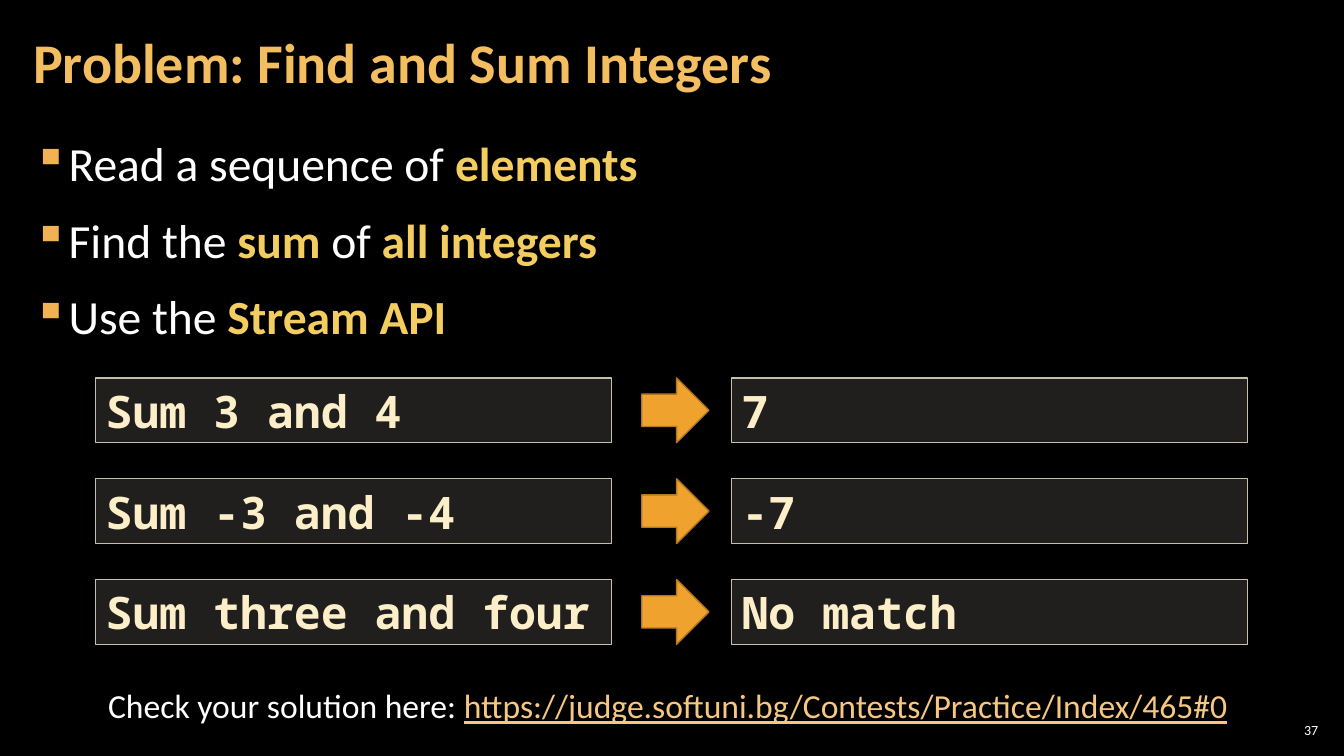
from pptx import Presentation
from pptx.dml.color import RGBColor as Rgb
from pptx.enum.shapes import MSO_SHAPE as Kind
from pptx.enum.text import MSO_ANCHOR as Anchor, PP_ALIGN as Align
from pptx.oxml.ns import qn
from pptx.util import Inches, Pt
from lxml.etree import SubElement as Sub

HUES = {
    "back": "000000", "text": "FFFFFF", "title": "F3BE60", "bold": "F3CD60",
    "mark": "F2B254", "link": "F6C781", "code": "FBEEC9", "box": "D9D5C7",
    "edge": "C7BFAC", "arrow": "F0A22E", "rim": "B27822",
}
HUE = {name: Rgb.from_string(code) for name, code in HUES.items()}

deck = Presentation()
deck.slide_width, deck.slide_height = Inches(13.33), Inches(7.5)
slide = deck.slides.add_slide(deck.slide_layouts[6])
slide.background.fill.solid()
slide.background.fill.fore_color.rgb = HUE["back"]
shapes = slide.shapes

# The slide is a grid of 160 columns by 90 rows
COL, ROW = deck.slide_width / 160, deck.slide_height / 90


def place(col, row, wide, high, kind=None):
    """Add a text box, or a preset shape, on the grid."""
    spot = [round(n) for n in (col * COL, row * ROW, wide * COL, high * ROW)]
    item = shapes.add_shape(kind, *spot) if kind else shapes.add_textbox(*spot)
    item.text_frame.word_wrap = True
    return item


def write(para, parts, size, face="Calibri"):
    """Fill a paragraph with runs given as (text, hue, bold)."""
    for text, hue, bold in parts:
        run = para.add_run()
        run.text = text
        font = run.font
        font.name, font.size, font.bold = face, Pt(size), bold
        font.color.rgb = HUE[hue]
        font.underline = hue == "link"


# Title
frame = place(2.5, 0.5, 125.6, 14.5).text_frame
frame.vertical_anchor = Anchor.MIDDLE
frame.margin_left = frame.margin_right = Inches(0.12)
frame.paragraphs[0].line_spacing = 0.9
write(frame.paragraphs[0], [("Problem: Find and Sum Integers", "title", True)], 40)

# Bullets: every second part is bold
points = [
    ["Read a sequence of ", "elements"],
    ["Find the ", "sum ", "of ", "all integers"],
    ["Use the ", "Stream API"],
]
frame = place(2.5, 15.1, 155, 73.1).text_frame
frame.margin_left = frame.margin_right = Inches(0.12)
frame.margin_top = frame.margin_bottom = Inches(0.04)
for i, point in enumerate(points):
    para = frame.add_paragraph() if i else frame.paragraphs[0]
    para.line_spacing = 1.05
    para.space_before, para.space_after = Pt(6 if i else 0), Pt(6)
    props = para._p.get_or_add_pPr()
    props.set("marL", str(Inches(0.33)))
    props.set("indent", str(-Inches(0.33)))
    Sub(Sub(props, qn("a:buClr")), qn("a:srgbClr"), val=HUES["mark"])
    Sub(props, qn("a:buChar"), char="▪")
    write(para, [(text, "bold" if n % 2 else "text", n % 2 == 1)
                 for n, text in enumerate(point)], 34)

# Input, arrow and output in each row
cases = [("Sum 3 and 4", "7"), ("Sum -3 and -4", "-7"),
         ("Sum three and four", "No match")]
for i, case in enumerate(cases):
    row = 45 + 12 * i
    for col, text in zip((11.4, 87.1), case):
        box = place(col, row, 61.4, 7.7, Kind.RECTANGLE)
        box.shadow.inherit = False
        box.fill.solid()
        box.fill.fore_color.rgb = HUE["box"]
        tint = box.fill._xPr.find(".//" + qn("a:srgbClr"))
        Sub(tint, qn("a:alpha"), val="15000")
        box.line.color.rgb, box.line.width = HUE["edge"], Pt(1)
        frame = box.text_frame
        frame.vertical_anchor = Anchor.MIDDLE
        frame.paragraphs[0].alignment = Align.LEFT
        write(frame.paragraphs[0], [(text, "code", True)], 32, "Noto Sans Mono")
    arrow = place(76.4, row, 8, 7.7, Kind.RIGHT_ARROW)
    arrow.shadow.inherit = False
    arrow.fill.solid()
    arrow.fill.fore_color.rgb = HUE["arrow"]
    arrow.line.color.rgb, arrow.line.width = HUE["rim"], Pt(1)

# Address of the judge
para = place(10, 81, 139, 6).text_frame.paragraphs[0]
para.alignment = Align.CENTER
write(para, [
    ("Check your solution here: ", "text", False),
    ("https://judge.softuni.bg/Contests/Practice/Index/465#0", "link", False),
], 24)

# Slide number
frame = place(151.8, 85.7, 5.6, 2.5).text_frame
frame.vertical_anchor = Anchor.MIDDLE
frame.margin_left = frame.margin_right = Inches(0.04)
frame.margin_top = frame.margin_bottom = Inches(0.04)
frame.paragraphs[0].alignment = Align.RIGHT
write(frame.paragraphs[0], [("37", "text", False)], 10)

deck.save("out.pptx")
